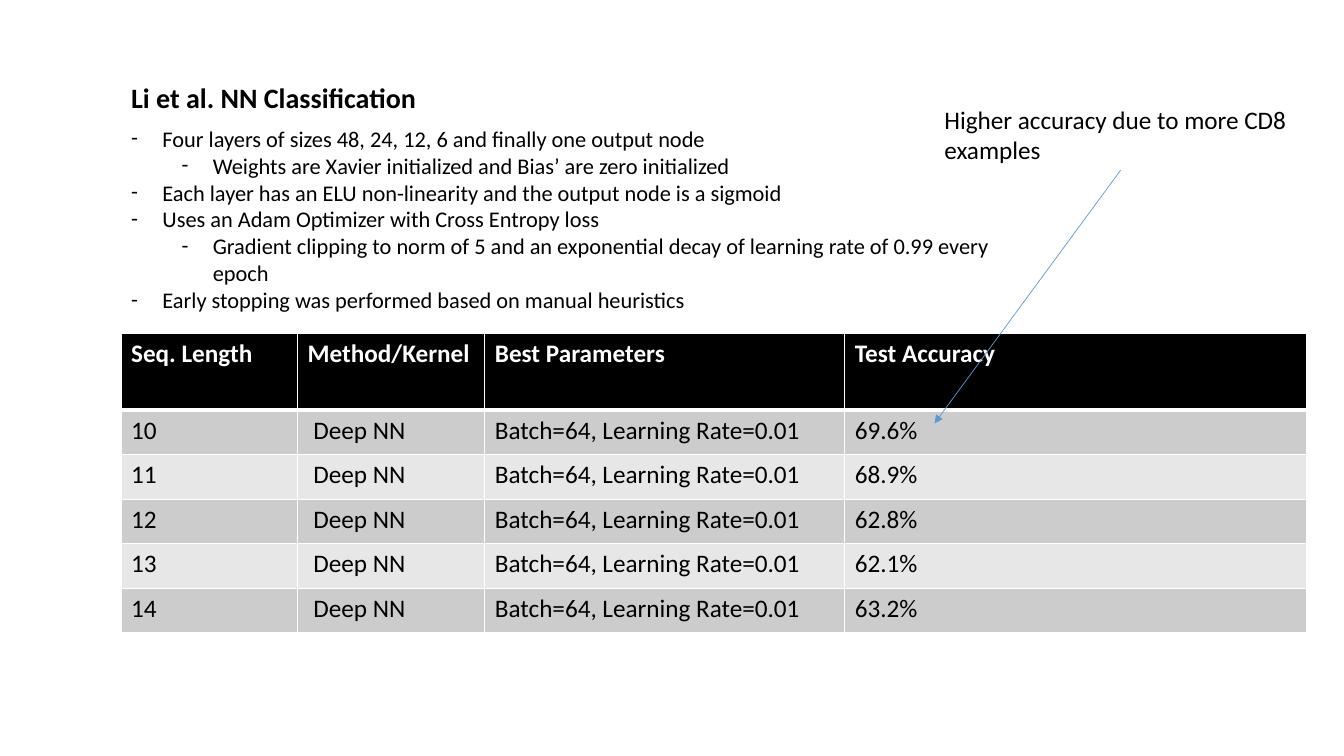
from dataclasses import dataclass

from lxml.etree import SubElement
from pptx import Presentation
from pptx.dml.color import RGBColor
from pptx.enum.shapes import MSO_CONNECTOR
from pptx.enum.text import MSO_ANCHOR, MSO_AUTO_SIZE, PP_ALIGN
from pptx.oxml.ns import qn
from pptx.util import Cm, Pt

FONT = "Calibri"
COLORS = {
    "ink": "000000",
    "paper": "FFFFFF",
    "dark": "CCCCCC",
    "light": "E7E7E7",
    "arrow": "5B9BD5",
}


@dataclass
class Box:
    left: float
    top: float
    width: float
    height: float


@dataclass
class Point:
    text: str
    level: int = 0


@dataclass
class Result:
    length: str
    score: str


HEAD = Box(3.05, 1.9, 11.81, 1.12)
LIST = Box(3.05, 3.02, 22.83, 5.05)
GRID = Box(3.05, 8.41, 29.87, 7.53)
NOTE = Box(23.55, 2.51, 9.4, 1.8)

POINTS = [
    Point("Four layers of sizes 48, 24, 12, 6 and finally one output node"),
    Point("Weights are Xavier initialized and Bias’ are zero initialized", 1),
    Point("Each layer has an ELU non-linearity and the output node is a sigmoid"),
    Point("Uses an Adam Optimizer with Cross Entropy loss"),
    Point("Gradient clipping to norm of 5 and an exponential decay of "
          "learning rate of 0.99 every epoch", 1),
    Point("Early stopping was performed based on manual heuristics"),
]
TITLES = ["Seq. Length", "Method/Kernel", "Best Parameters", "Test Accuracy"]
WIDTHS = [4.45, 4.72, 9.07, 11.63]
TOP_ROW, ROW = 1.93, 1.12
RESULTS = [
    Result("10", "69.6%"),
    Result("11", "68.9%"),
    Result("12", "62.8%"),
    Result("13", "62.1%"),
    Result("14", "63.2%"),
]


def color(name: str) -> RGBColor:
    return RGBColor.from_string(COLORS[name])


def write(para, text: str, size: float, bold: bool = False, ink: str = "ink") -> None:
    run = para.add_run()
    run.text = text
    run.font.name = FONT
    run.font.size = Pt(size)
    run.font.bold = bold
    run.font.color.rgb = color(ink)
    para.alignment = PP_ALIGN.LEFT
    para.space_before = para.space_after = Pt(0)


def place(shape, box: Box):
    shape.left, shape.top = Cm(box.left), Cm(box.top)
    shape.width, shape.height = Cm(box.width), Cm(box.height)
    frame = shape.text_frame
    frame.word_wrap = True
    frame.auto_size = MSO_AUTO_SIZE.NONE
    frame.vertical_anchor = MSO_ANCHOR.TOP
    return frame


def add_dash(para, level: int) -> None:
    props = para._p.get_or_add_pPr()
    props.set("marL", str(Cm(0.79 + 1.27 * level)))
    props.set("indent", str(Cm(-0.79)))
    SubElement(props, qn("a:buFont"), typeface=FONT)
    SubElement(props, qn("a:buChar"), char="-")


def add_edges(cell, row: int) -> None:
    props = cell._tc.get_or_add_tcPr()
    thick = {"lnT": 3 if row == 1 else 1, "lnB": 3 if row == 0 else 1}
    for side in ("lnL", "lnR", "lnT", "lnB"):
        edge = SubElement(props, qn(f"a:{side}"), w=str(Pt(thick.get(side, 1))))
        fill = SubElement(edge, qn("a:solidFill"))
        SubElement(fill, qn("a:srgbClr"), val=COLORS["paper"])


def add_list(shape, points: list[Point]) -> None:
    frame = place(shape, LIST)
    for i, point in enumerate(points):
        para = frame.add_paragraph() if i else frame.paragraphs[0]
        para.level = point.level
        write(para, point.text, 16)
        add_dash(para, point.level)


def add_grid(slide) -> None:
    rows = [TITLES] + [
        [r.length, " Deep NN", "Batch=64, Learning Rate=0.01", r.score]
        for r in RESULTS
    ]
    table = slide.shapes.add_table(
        len(rows), len(TITLES), Cm(GRID.left), Cm(GRID.top),
        Cm(GRID.width), Cm(GRID.height)).table
    for col, width in zip(table.columns, WIDTHS):
        col.width = Cm(width)
    for i, texts in enumerate(rows):
        table.rows[i].height = Cm(ROW if i else TOP_ROW)
        shade = ("dark" if i % 2 else "light") if i else "ink"
        for j, text in enumerate(texts):
            cell = table.cell(i, j)
            add_edges(cell, i)
            cell.fill.solid()
            cell.fill.fore_color.rgb = color(shade)
            write(cell.text_frame.paragraphs[0], text, 18,
                  bold=i == 0, ink="ink" if i else "paper")


def add_arrow(slide) -> None:
    arrow = slide.shapes.add_connector(
        MSO_CONNECTOR.STRAIGHT, Cm(28.24), Cm(4.29), Cm(23.55), Cm(10.67))
    arrow.line.color.rgb = color("arrow")
    arrow.line.width = Pt(0.5)
    SubElement(arrow.line._get_or_add_ln(), qn("a:tailEnd"), type="triangle")
    SubElement(arrow._element.spPr, qn("a:effectLst"))


def main() -> None:
    deck = Presentation()
    deck.slide_width, deck.slide_height = Cm(33.87), Cm(19.05)
    slide = deck.slides.add_slide(deck.slide_layouts[1])

    # Heading and model notes
    head = place(slide.shapes.title, HEAD)
    write(head.paragraphs[0], "Li et al. NN Classification", 20, bold=True)
    add_list(slide.placeholders[1], POINTS)

    # Results
    add_grid(slide)

    # Remark on the first score
    add_arrow(slide)
    note = place(slide.shapes.add_textbox(0, 0, 0, 0), NOTE)
    write(note.paragraphs[0], "Higher accuracy due to more CD8 examples", 18)

    deck.save("out.pptx")


if __name__ == "__main__":
    main()
